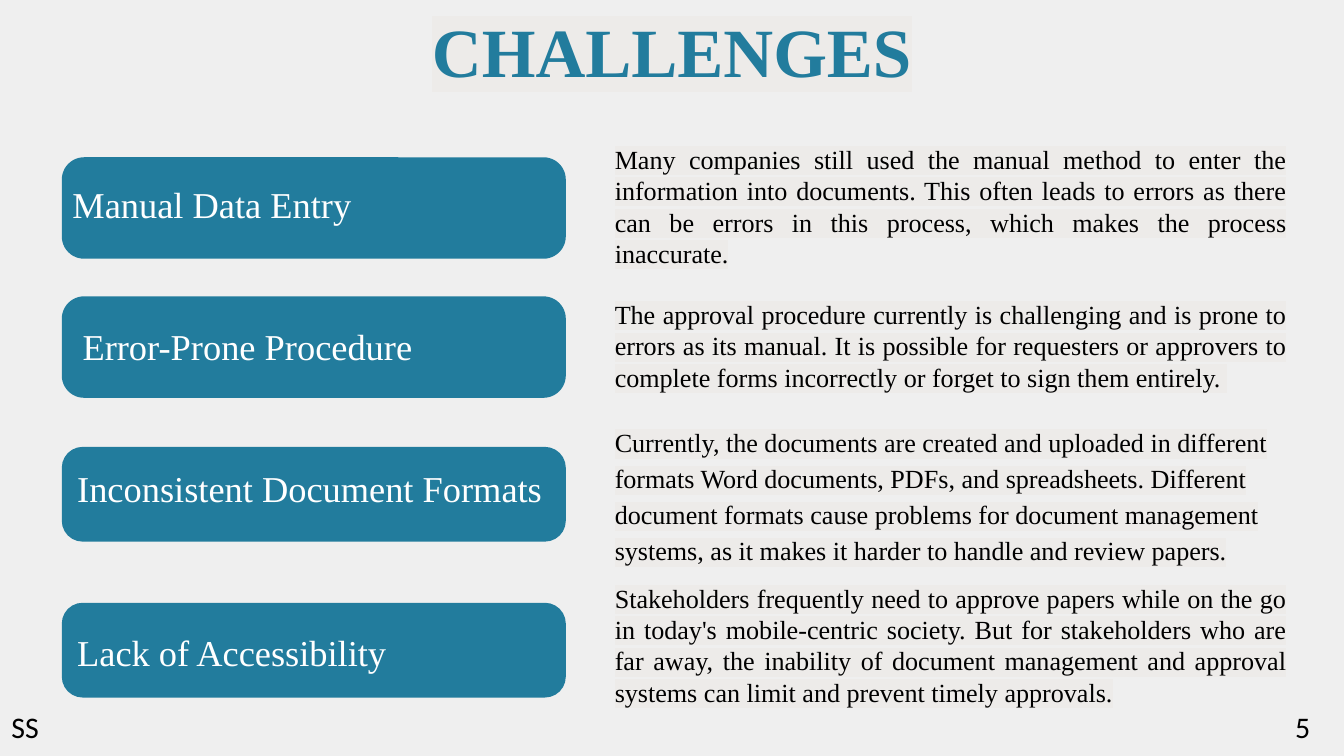
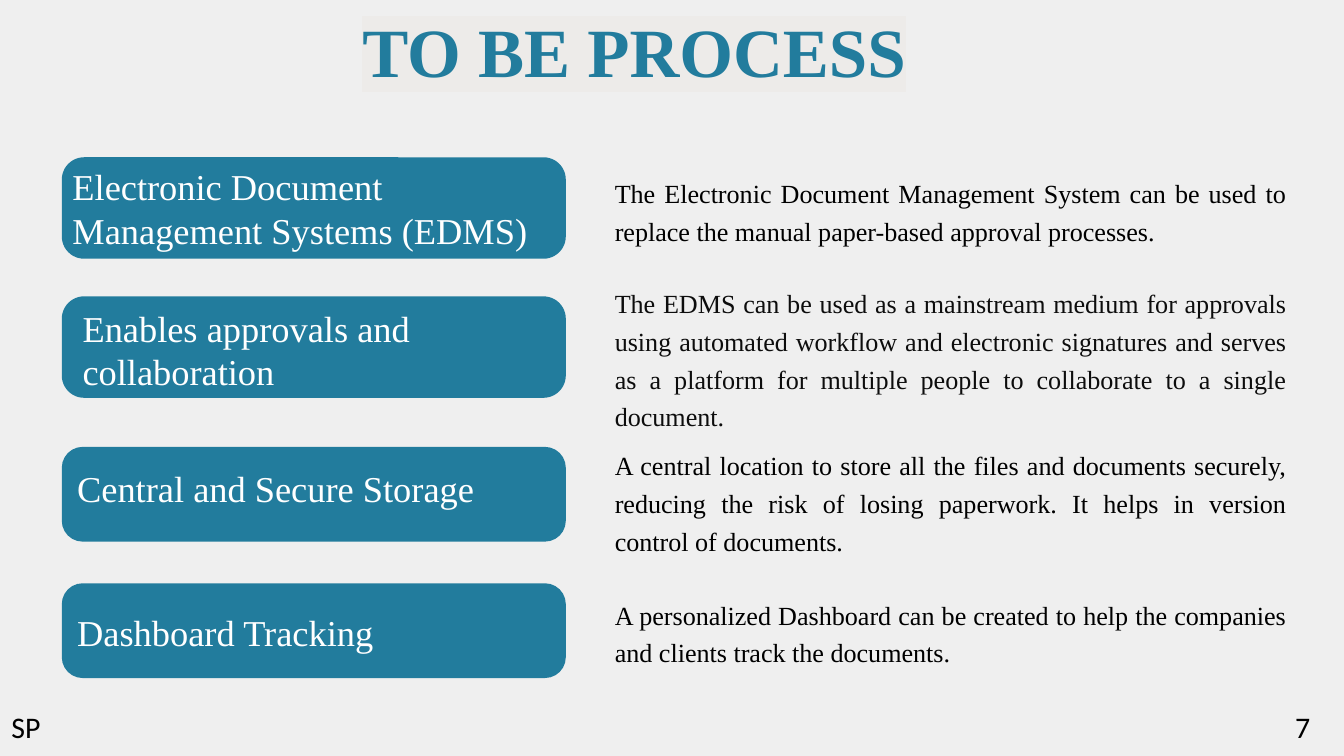
"""Builds two slides that pair topic cards with explanations."""
from collections import namedtuple
from dataclasses import dataclass

from lxml.etree import SubElement
from pptx import Presentation
from pptx.dml.color import RGBColor
from pptx.enum.shapes import MSO_SHAPE
from pptx.enum.text import MSO_ANCHOR, MSO_AUTO_SIZE, PP_ALIGN
from pptx.oxml.ns import qn
from pptx.util import Inches, Pt

COLUMNS, ROWS = 80, 45
TITLE_ONLY = 5

Slot = namedtuple("Slot", "row height indent drop")
Explanation = namedtuple("Explanation", "row height text style")


@dataclass(frozen=True)
class TextStyle:
    """Look of one kind of text."""
    size: int
    color: str
    font: str = "Times New Roman"
    bold: bool = False
    align: PP_ALIGN = PP_ALIGN.LEFT
    spacing: float = 1.0
    highlight: str = ""


@dataclass(frozen=True)
class Theme:
    """Colours and type sizes of the deck."""
    paper: str = "EFEFEF"
    teal: str = "227C9D"
    marker: str = "EDEBE9"
    title: TextStyle = TextStyle(74, teal, bold=True, align=PP_ALIGN.CENTER,
                                 spacing=1.15, highlight=marker)
    topic: TextStyle = TextStyle(39, "FFFFFF")
    marked: TextStyle = TextStyle(28, "000000", align=PP_ALIGN.JUSTIFY, highlight=marker)
    marked_left: TextStyle = TextStyle(28, "000000", spacing=1.15, highlight=marker)
    plain: TextStyle = TextStyle(28, "000000", align=PP_ALIGN.JUSTIFY, spacing=1.2)
    plain_soft: TextStyle = TextStyle(28, "0D0D0D", align=PP_ALIGN.JUSTIFY, spacing=1.2)
    initials: TextStyle = TextStyle(32, "000000", font="Calibri")
    number: TextStyle = TextStyle(32, "000000", font="Calibri", align=PP_ALIGN.RIGHT)


class Deck:
    """Holds the theme and the current slide, and draws each kind of element."""

    def __init__(self, theme):
        self.theme = theme
        self.show = Presentation()
        self.show.slide_width, self.show.slide_height = Inches(20), Inches(11.25)
        self.column = self.show.slide_width / COLUMNS
        self.row = self.show.slide_height / ROWS
        self.paint(self.show.slide_master.background.fill, theme.paper)
        self.slide = None

    def paint(self, fill, color):
        fill.solid()
        fill.fore_color.rgb = RGBColor.from_string(color)

    def area(self, column, row, columns, rows):
        return (round(column * self.column), round(row * self.row),
                round(columns * self.column), round(rows * self.row))

    def typeset(self, frame, text, style, inset=0.1):
        frame.text = text
        frame.word_wrap = True
        frame.auto_size = MSO_AUTO_SIZE.NONE
        frame.vertical_anchor = MSO_ANCHOR.TOP
        frame.margin_left = frame.margin_right = Inches(inset)
        frame.margin_top = frame.margin_bottom = Inches(inset)
        paragraph = frame.paragraphs[0]
        paragraph.alignment = style.align
        paragraph.line_spacing = style.spacing
        font = paragraph.runs[0].font
        font.size, font.bold, font.name = Pt(style.size), style.bold, style.font
        font.color.rgb = RGBColor.from_string(style.color)
        if style.highlight:
            properties = paragraph.runs[0]._r.get_or_add_rPr()
            highlight = SubElement(properties, qn("a:highlight"))
            SubElement(highlight, qn("a:srgbClr"), val=style.highlight)
            properties.find(qn("a:solidFill")).addnext(highlight)

    def start(self, heading, column, columns):
        self.slide = self.show.slides.add_slide(self.show.slide_layouts[TITLE_ONLY])
        title = self.slide.shapes.title
        title.left, title.top, title.width, title.height = self.area(column, -0.24, columns, 5)
        self.typeset(title.text_frame, heading, self.theme.title, inset=0)

    def text(self, area, text, style):
        frame = self.slide.shapes.add_textbox(*self.area(*area)).text_frame
        self.typeset(frame, text, style)
        return frame

    def topic(self, slot, text, lines):
        card = self.slide.shapes.add_shape(
            MSO_SHAPE.ROUNDED_RECTANGLE, *self.area(3.68, slot.row, 30, slot.height))
        card.adjustments[0] = 0.22
        card.shadow.inherit = False
        self.paint(card.fill, self.theme.teal)
        card.line.fill.background()
        label_row = slot.row + slot.drop - 1.08 * (lines - 1)
        self.text((3.68 + slot.indent, label_row, 29.5, 3.44 + 2.62 * (lines - 1)),
                  text, self.theme.topic)

    def explanation(self, item):
        self.text((36.2, item.row, 40.76, item.height), item.text, item.style)

    def footer(self, initials, number):
        self.text((0.28, 41.76, 38.76, 2.96), initials, self.theme.initials)
        frame = self.text((64.72, 41.76, 15.28, 2.96), number, self.theme.number)
        frame.margin_right = Inches(0.5)


def add_topics(deck, slots, topics, explanations):
    for slot, (topic, lines), explanation in zip(slots, topics, explanations):
        deck.topic(slot, topic, lines)
        deck.explanation(explanation)


def main():
    theme = Theme()
    deck = Deck(theme)
    upper_slots = [Slot(9.36, 6.04, 0.24, 1.08), Slot(17.64, 6.04, 0.84, 1.24),
                   Slot(26.6, 5.64, 0.52, 0.76)]

    deck.start("CHALLENGES", 25.24, 29.52)
    add_topics(
        deck, upper_slots + [Slot(35.88, 5.64, 0.52, 1.2)],
        [("Manual Data Entry", 1), ("Error-Prone Procedure", 1),
         ("Inconsistent Document Formats", 1), ("Lack of Accessibility", 1)],
        [Explanation(8.12, 8.36, "Many companies still used the manual method to enter the "
                     "information into documents. This often leads to errors as there can be "
                     "errors in this process, which makes the process inaccurate.", theme.marked),
         Explanation(17.36, 6.48, "The approval procedure currently is challenging and is prone "
                     "to errors as its manual. It is possible for requesters or approvers to "
                     "complete forms incorrectly or forget to sign them entirely. ", theme.marked),
         Explanation(24.72, 9.2, "Currently, the documents are created and uploaded in different "
                     "formats Word documents, PDFs, and spreadsheets. Different document formats "
                     "cause problems for document management systems, as it makes it harder to "
                     "handle and review papers.", theme.marked_left),
         Explanation(34.24, 8.36, "Stakeholders frequently need to approve papers while on the go "
                     "in today's mobile-centric society. But for stakeholders who are far away, "
                     "the inability of document management and approval systems can limit and "
                     "prevent timely approvals.", theme.marked)])
    deck.footer("SS", "5")

    deck.start("TO BE PROCESS", 20.8, 33.92)
    add_topics(
        deck, upper_slots + [Slot(34.72, 5.64, 0.52, 1.2)],
        [("Electronic Document Management Systems (EDMS)", 2),
         ("Enables approvals and collaboration", 2),
         ("Central and Secure Storage", 1), ("Dashboard Tracking", 1)],
        [Explanation(9.8, 4.96, "The Electronic Document Management System can be used to "
                     "replace the manual paper-based approval processes.", theme.plain),
         Explanation(16.36, 9.48, "The EDMS can be used as a mainstream medium for approvals "
                     "using automated workflow and electronic signatures and serves as a platform "
                     "for multiple people to collaborate to a single document.",
                     theme.plain_soft),
         Explanation(26, 9.48, "A central location to store all the files and documents "
                     "securely, reducing the risk of losing paperwork. It helps in version "
                     "control of documents.", theme.plain),
         Explanation(34.88, 4.96, "A personalized Dashboard can be created to help the companies "
                     "and clients track the documents.", theme.plain)])
    deck.footer("SP", "7")

    deck.show.save("out.pptx")


if __name__ == "__main__":
    main()
